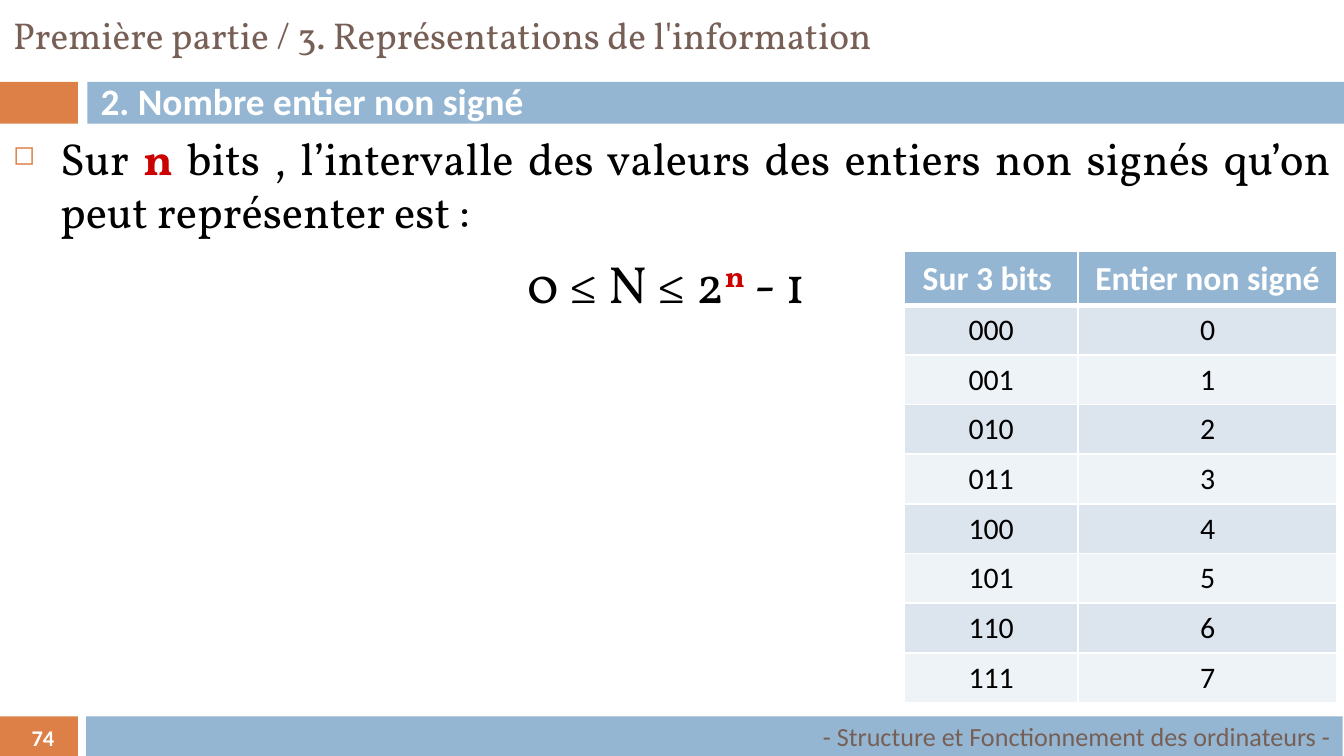
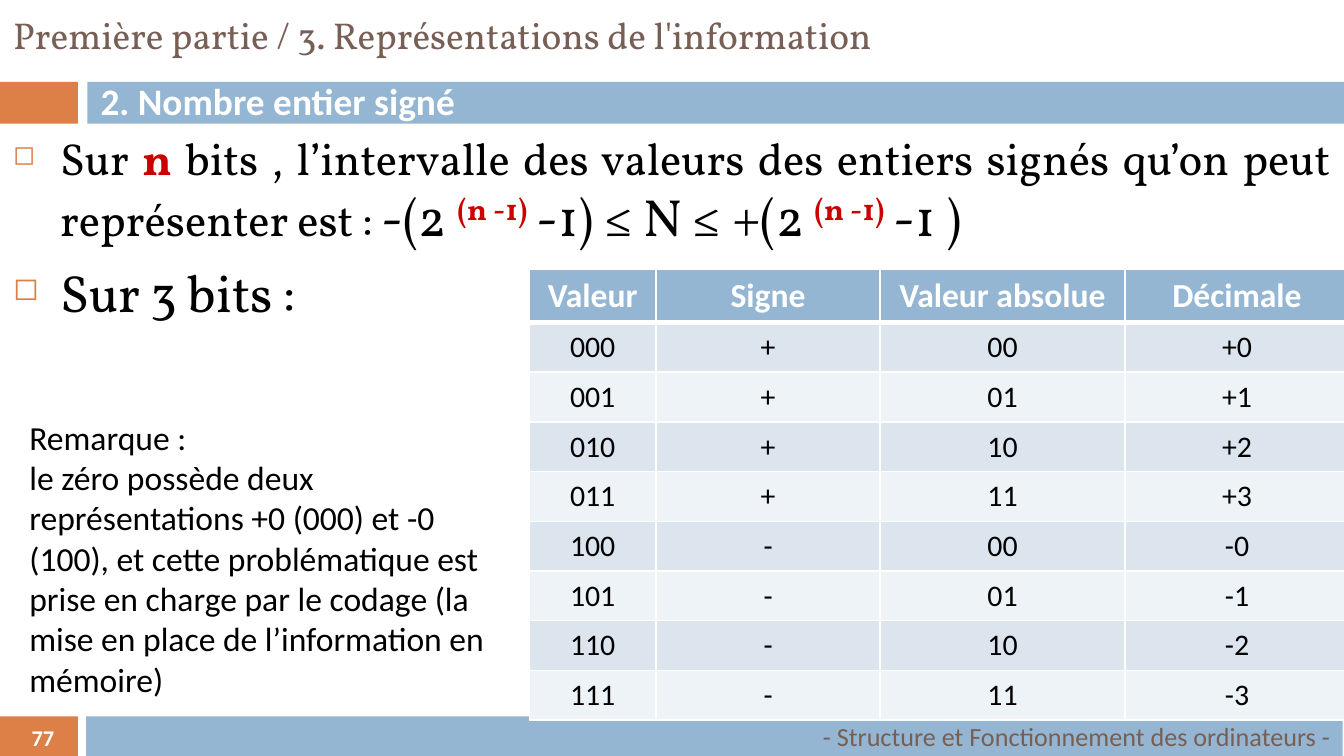
import pptx
import pptx.dml.color
import pptx.enum.shapes
import pptx.enum.text
import pptx.oxml.ns
import pptx.util
from lxml import etree

Inches, Pt = pptx.util.Inches, pptx.util.Pt
RGBColor = pptx.dml.color.RGBColor
ALIGN = pptx.enum.text.PP_ALIGN
ANCHOR = pptx.enum.text.MSO_ANCHOR
qn = pptx.oxml.ns.qn

ORANGE = RGBColor(0xDD, 0x80, 0x47)
BLUE = RGBColor(0x94, 0xB6, 0xD2)
BROWN = RGBColor(0x77, 0x5F, 0x55)
RED = RGBColor(0xCC, 0x00, 0x00)
BLACK = RGBColor(0x00, 0x00, 0x00)
WHITE = RGBColor(0xFF, 0xFF, 0xFF)
STRIPES = [RGBColor(0xDC, 0xE5, 0xEE), RGBColor(0xEE, 0xF3, 0xF7)]

CHAPTER = "Première partie / 3. Représentations de l'information"
FOOTER = "- Structure et Fonctionnement des ordinateurs -"

TITLE = dict(name="Vollkorn", size=Pt(20), color=BROWN)
SECTION = dict(name="Calibri", size=Pt(20), color=WHITE, bold=True)
NUMBER = dict(SECTION, size=Pt(12))
COURSE = dict(name="Calibri", size=Pt(14), color=BROWN)
REMARK = dict(name="Calibri", size=Pt(18), color=BLACK)
HEADER = dict(SECTION, size=Pt(18))
VALUE = dict(name="Calibri", size=Pt(16), color=BLACK)
BODY = dict(name="Vollkorn", size=Pt(24), color=BLACK)
KEY = dict(BODY, color=RED, bold=True)
FORMULA = dict(BODY, size=Pt(28))
EXPONENT = dict(KEY, size=Pt(28), baseline="30000")

HEADER_HEIGHT, VALUE_HEIGHT = 0.4, 0.37

# left, top, width, height, colour
BANDS = [
    (0, 0.61, 0.58, 0.31, ORANGE),
    (0.65, 0.61, 9.35, 0.31, BLUE),
    (0, 5.33, 0.58, 0.31, ORANGE),
    (0.64, 5.33, 9.35, 0.31, BLUE),
]

codes = [f"{n:03b}" for n in range(8)]

lessons = [
    dict(
        number="74",
        section="2. Nombre entier non signé",
        body=[
            (ALIGN.JUSTIFY, True, [
                ("Sur ", BODY), ("n", KEY),
                (" bits , l’intervalle des valeurs des entiers non signés "
                 "qu’on peut représenter est : ", BODY)]),
            (ALIGN.CENTER, False, [
                ("0 ≤ N ≤ 2", FORMULA), ("n", EXPONENT), (" - 1 ", FORMULA)]),
        ],
        corner=(6.73, 1.87),
        columns=[1.29, 1.93],
        rows=[["Sur 3 bits ", "Entier non signé"]]
        + [[code, str(int(code, 2))] for code in codes],
        remark=[],
    ),
    dict(
        number="77",
        section="2. Nombre entier signé",
        body=[
            (ALIGN.JUSTIFY, True, [
                ("Sur ", BODY), ("n", KEY),
                (" bits , l’intervalle des valeurs des entiers signés "
                 "qu’on peut représenter est : ", BODY),
                ("-(2 ", FORMULA), ("(n -1)", EXPONENT),
                (" -1) ≤ N ≤ +(2 ", FORMULA), ("(n -1)", EXPONENT),
                (" -1 )", FORMULA)]),
            (ALIGN.LEFT, True, [("Sur 3 bits :", FORMULA)]),
        ],
        corner=(3.94, 2),
        columns=[0.94, 1.67, 1.82, 1.67],
        rows=[["Valeur", "Signe", "Valeur absolue", "Décimale"]]
        + [[code, sign, code[1:], f"{sign}{int(code[1:], 2)}"]
           for code in codes for sign in ["+-"[int(code[0])]]],
        remark=[
            "Remarque :",
            "le zéro possède deux représentations +0 (000) et -0 (100), et cette "
            "problématique est prise en charge par le codage (la mise en place de "
            "l’information en mémoire)",
        ],
    ),
]


def add_run(paragraph, text, style):
    run = paragraph.add_run()
    run.text = text
    for key, value in style.items():
        if key == "color":
            run.font.color.rgb = value
        elif key == "baseline":
            run.font._element.set("baseline", value)
        else:
            setattr(run.font, key, value)


def add_text(slide, place, lines, style, align=ALIGN.LEFT, anchor=ANCHOR.MIDDLE):
    """Add a wrapping text box with one paragraph per line; return its frame."""
    frame = slide.shapes.add_textbox(*map(Inches, place)).text_frame
    frame.word_wrap = True
    frame.vertical_anchor = anchor
    for index, line in enumerate(lines):
        paragraph = frame.add_paragraph() if index else frame.paragraphs[0]
        paragraph.alignment = align
        add_run(paragraph, line, style)
    return frame


deck = pptx.Presentation()
deck.slide_width = Inches(10)
deck.slide_height = deck.slide_width * 9 // 16

for lesson in lessons:
    slide = deck.slides.add_slide(deck.slide_layouts[6])

    for *place, color in BANDS:
        band = slide.shapes.add_shape(
            pptx.enum.shapes.MSO_SHAPE.RECTANGLE, *map(Inches, place))
        band.shadow.inherit = False
        band.fill.solid()
        band.fill.fore_color.rgb = color
        band.line.fill.background()

    add_text(slide, (0.04, 5.33, 0.56, 0.31), [lesson["number"]], NUMBER, ALIGN.CENTER)
    add_text(slide, (0, -0.01, 10, 0.54), [CHAPTER], TITLE)
    add_text(slide, (0.75, 5.33, 9.25, 0.3), [FOOTER], COURSE, ALIGN.RIGHT)

    body = add_text(slide, (0, 0.92, 10, 4.41), [], BODY, anchor=ANCHOR.TOP)
    for index, (align, bulleted, runs) in enumerate(lesson["body"]):
        paragraph = body.add_paragraph() if index else body.paragraphs[0]
        if bulleted:
            properties = paragraph._p.get_or_add_pPr()
            properties.set("marL", str(Inches(0.35)))
            properties.set("indent", str(-Inches(0.35)))
            bullet_color = etree.SubElement(properties, qn("a:buClr"))
            etree.SubElement(bullet_color, qn("a:srgbClr"), val=str(ORANGE))
            etree.SubElement(properties, qn("a:buSzPct"), val="60000")
            etree.SubElement(properties, qn("a:buChar"), char="◻")
        paragraph.alignment = align
        if index:
            paragraph.space_before = Pt(7)
        for text, style in runs:
            add_run(paragraph, text, style)

    add_text(slide, (0.65, 0.61, 9.35, 0.28), [lesson["section"]], SECTION)

    rows, columns = lesson["rows"], lesson["columns"]
    height = HEADER_HEIGHT + VALUE_HEIGHT * (len(rows) - 1)
    table = slide.shapes.add_table(
        len(rows), len(columns),
        *map(Inches, (*lesson["corner"], sum(columns), height))).table
    for column, width in zip(table.columns, columns):
        column.width = Inches(width)
    for r, values in enumerate(rows):
        table.rows[r].height = Inches(VALUE_HEIGHT if r else HEADER_HEIGHT)
        for c, value in enumerate(values):
            cell = table.cell(r, c)
            cell.vertical_anchor = ANCHOR.MIDDLE if r else ANCHOR.TOP
            for side in ("lnL", "lnR", "lnT", "lnB"):
                heavy = (r == 0 and side == "lnB") or (r == 1 and side == "lnT")
                border = etree.SubElement(
                    cell._tc.get_or_add_tcPr(), qn(f"a:{side}"),
                    w=str(Pt(3 if heavy else 1)))
                paint = etree.SubElement(border, qn("a:solidFill"))
                etree.SubElement(paint, qn("a:srgbClr"), val=str(WHITE))
            cell.fill.solid()
            cell.fill.fore_color.rgb = STRIPES[(r - 1) % 2] if r else BLUE
            paragraph = cell.text_frame.paragraphs[0]
            paragraph.alignment = ALIGN.CENTER
            add_run(paragraph, value, VALUE if r else HEADER)

    if lesson["remark"]:
        add_text(slide, (0.12, 3.05, 3.78, 2.22), lesson["remark"], REMARK,
                 anchor=ANCHOR.TOP)

deck.save("out.pptx")
